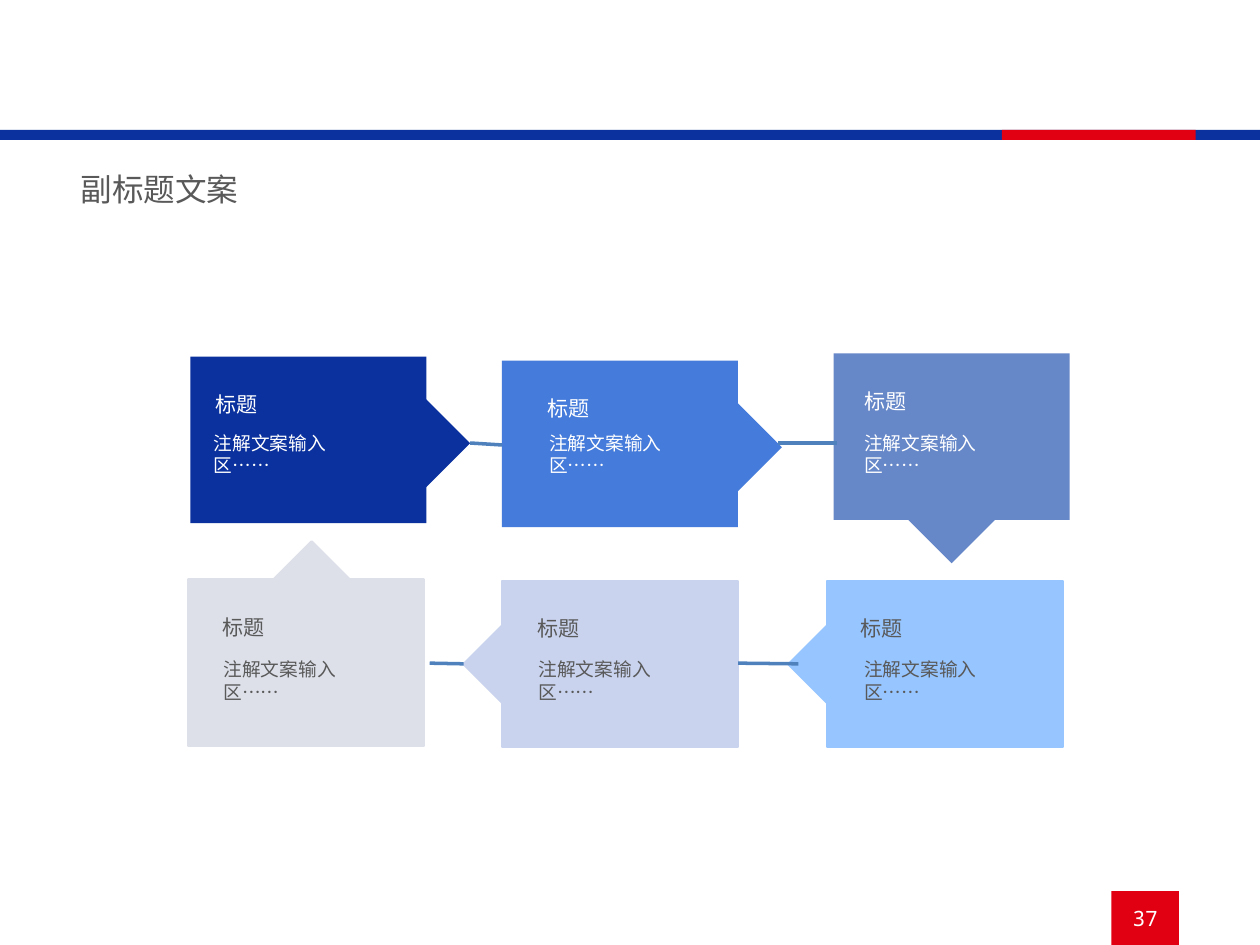
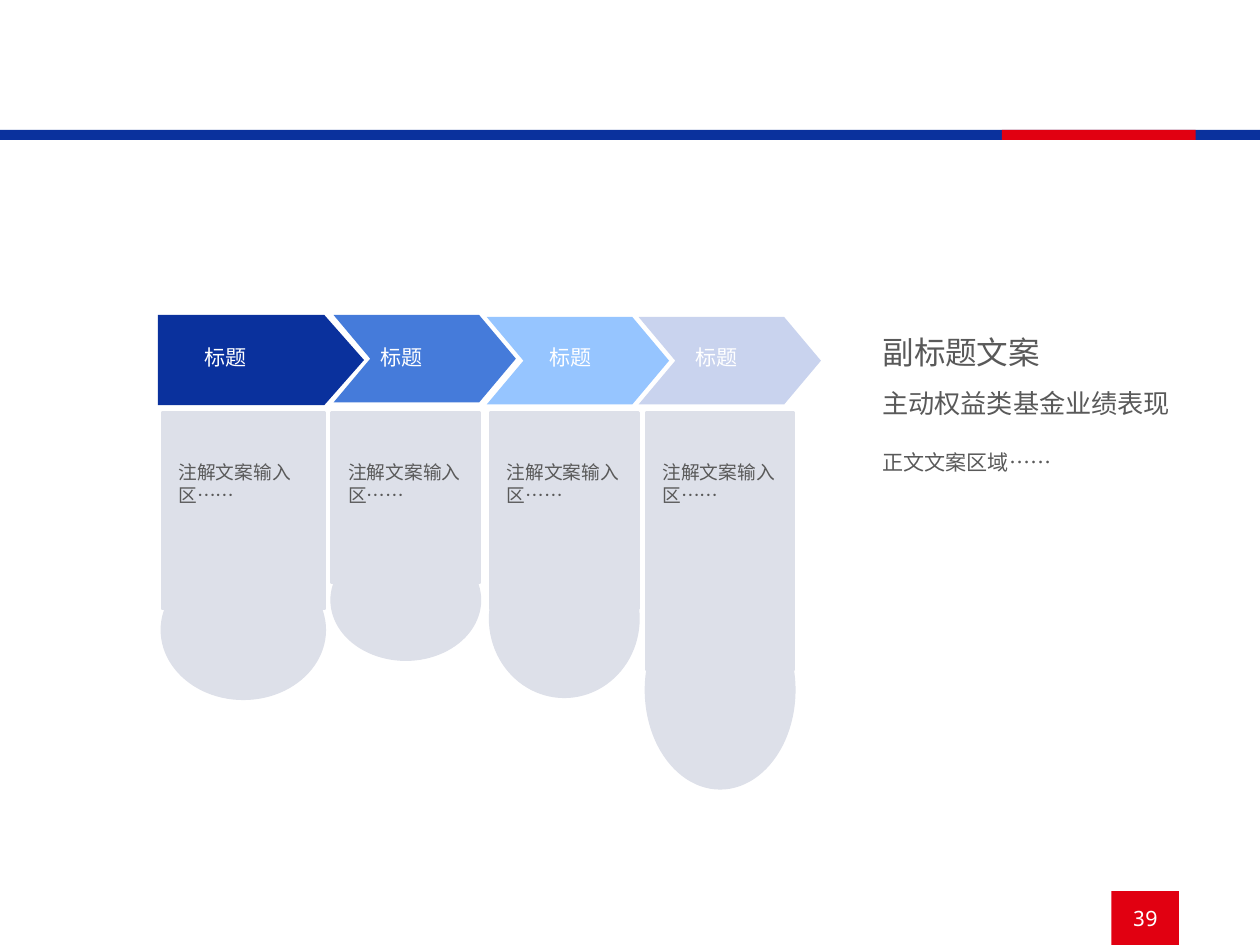
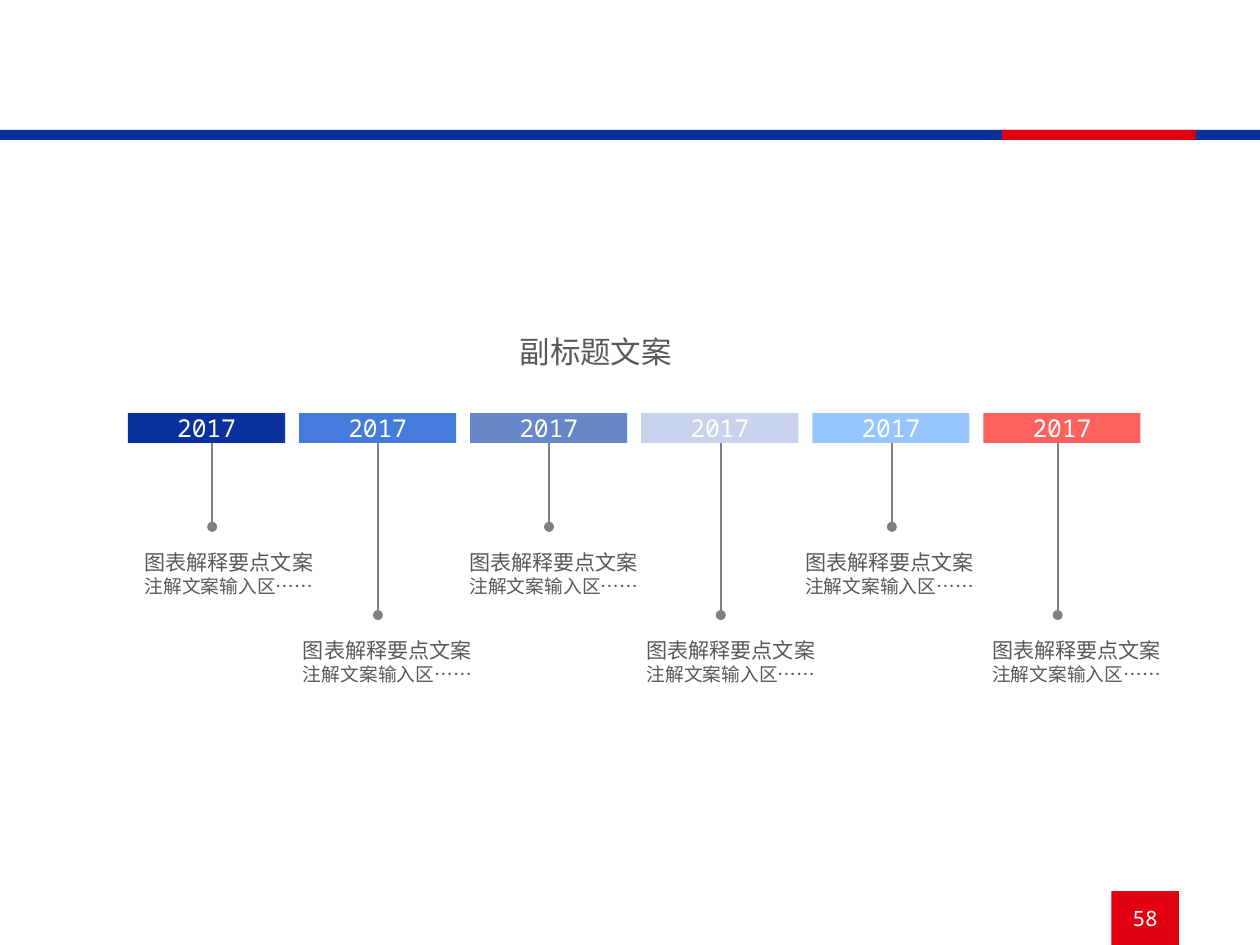
from dataclasses import dataclass

from lxml import etree
from pptx import Presentation
from pptx.dml.color import RGBColor
from pptx.enum.shapes import MSO_CONNECTOR, MSO_SHAPE
from pptx.enum.text import MSO_ANCHOR, PP_ALIGN
from pptx.oxml.ns import qn
from pptx.util import Cm, Pt

RECT = MSO_SHAPE.RECTANGLE
OVAL = MSO_SHAPE.OVAL
DOT = MSO_SHAPE.FLOWCHART_CONNECTOR
ARROW = MSO_SHAPE.STRIPED_RIGHT_ARROW
PLATE = MSO_SHAPE.PENTAGON
CHEVRON = MSO_SHAPE.CHEVRON
STRAIGHT = MSO_CONNECTOR.STRAIGHT
CENTER = PP_ALIGN.CENTER
MIDDLE = MSO_ANCHOR.MIDDLE


@dataclass(frozen=True)
class Theme:
    navy: str = "0A319D"
    blue: str = "457BDA"
    steel: str = "6687C8"
    sky: str = "96C5FF"
    pale: str = "C9D3EE"
    mist: str = "DDE0E9"
    coral: str = "FD625E"
    red: str = "E10011"
    link: str = "4F81BD"
    gray: str = "808080"
    ink: str = "595959"
    white: str = "FFFFFF"
    sans: str = "Noto Sans CJK SC"
    mono: str = "Noto Sans Mono"
    title: float = 13.5
    sub: float = 11.2
    year: float = 10.5
    head: float = 9
    note: float = 8


T = Theme()
HEAD = "标题"
NOTE = "注解文案输入区……"
TITLE = "副标题文案"

# Direction: rotation, then offset of the arrow's centre from the box's centre
TURNS = {
    "right": (0, 1.32, 0.05),
    "left": (180, -1.24, 0),
    "down": (90, 0, 0.79),
    "up": (270, 0.08, -0.71),
}


def rgb(color):
    return RGBColor.from_string(color)


def write(para, text, size, color=T.ink, font=T.sans):
    run = para.add_run()
    run.text = text
    run.font.size = Pt(size)
    run.font.color.rgb = rgb(color)
    run.font.name = font
    etree.SubElement(run.font._element, qn("a:ea"), typeface=font)


def shape(slide, kind, x, y, w, h, fill, edge=False):
    """Add a flat shape; edge draws a 1 pt line in the fill colour."""
    item = slide.shapes.add_shape(kind, Cm(x), Cm(y), Cm(w), Cm(h))
    item.shadow.inherit = False
    item.fill.solid()
    item.fill.fore_color.rgb = rgb(fill)
    if edge:
        item.line.color.rgb = rgb(fill)
        item.line.width = Pt(1)
    else:
        item.line.fill.background()
    return item


def label(slide, x, y, w, h, *lines, color=T.ink):
    """Add a text box with one paragraph for each (text, size) pair."""
    frame = slide.shapes.add_textbox(Cm(x), Cm(y), Cm(w), Cm(h)).text_frame
    frame.word_wrap = True
    for i, (text, size) in enumerate(lines):
        para = frame.add_paragraph() if i else frame.paragraphs[0]
        write(para, text, size, color)


def badge(slide, x, y, w, h, fill, text, size):
    """Add a filled bar with a centred number."""
    frame = shape(slide, RECT, x, y, w, h, fill).text_frame
    frame.margin_left = frame.margin_right = 0
    frame.margin_top = frame.margin_bottom = 0
    frame.vertical_anchor = MIDDLE
    para = frame.paragraphs[0]
    para.alignment = CENTER
    write(para, text, size, T.white, T.mono)


def line(slide, x1, y1, x2, y2, color, width):
    item = slide.shapes.add_connector(STRAIGHT, Cm(x1), Cm(y1), Cm(x2), Cm(y2))
    item.line.color.rgb = rgb(color)
    item.line.width = Pt(width)
    etree.SubElement(item._element.spPr, qn("a:effectLst"))


def page(deck, number):
    """Add a slide with the shared band and page number."""
    slide = deck.slides.add_slide(deck.slide_layouts[6])
    shape(slide, RECT, 0, 1.96, 19, 0.15, T.navy)
    shape(slide, RECT, 15.11, 1.96, 2.92, 0.15, T.red)
    badge(slide, 16.76, 13.44, 1.02, 0.81, T.red, number, T.head)
    return slide


def callout(slide, x, y, fill, way, edge):
    """Add a box with an arrow that leaves it in the given direction."""
    w, h, long, wide = 3.56, 2.51, 2.24, 1.35
    turn, dx, dy = TURNS[way]
    shape(slide, RECT, x, y, w, h, fill, edge)
    left = x + w / 2 + dx - long / 2
    top = y + h / 2 + dy - wide / 2
    shape(slide, ARROW, left, top, long, wide, fill, edge).rotation = turn


def cycle(deck):
    slide = page(deck, "37")
    label(slide, 0.97, 2.44, 4, 0.84, (TITLE, T.title))
    # Box x, y, fill, direction, heading x, note x
    top = [
        (2.87, 5.38, T.navy, "right", 3, 2.97),
        (7.57, 5.44, T.blue, "right", 8, 8.03),
        (12.57, 5.33, T.steel, "down", 12.78, 12.78),
    ]
    low = [
        (12.47, 8.76, T.sky, "left", 12.73, 12.78),
        (7.57, 8.76, T.pale, "left", 7.85, 7.87),
        (2.84, 8.74, T.mist, "up", 3.1, 3.12),
    ]
    for row, ink, base, edge in ((top, T.white, 6.38, False),
                                 (low, T.ink, 9.8, True)):
        for x, y, fill, way, hx, nx in row:
            callout(slide, x, y, fill, way, edge)
            label(slide, hx, y + 0.4, 2.36, 0.64, (HEAD, T.head), color=ink)
            label(slide, nx, base, 2.97, 0.95, (NOTE, T.note), color=ink)
    for x1, y1, x2, y2 in ((7.09, 6.68, 7.57, 6.71), (11.73, 6.68, 12.62, 6.68),
                           (11.13, 10, 12.04, 10.01), (6.48, 10, 6.99, 10.01)):
        line(slide, x1, y1, x2, y2, T.link, 1.5)


def steps(deck):
    slide = page(deck, "39")
    # Kind, x, y, width, height, fill, point depth, heading x
    heads = [
        (PLATE, 2.38, 4.75, 3.11, 1.36, T.navy, 0.44, 2.84),
        (CHEVRON, 5.03, 4.75, 2.75, 1.32, T.blue, 0.42, 5.49),
        (CHEVRON, 7.34, 4.78, 2.75, 1.32, T.sky, 0.42, 8.03),
        (CHEVRON, 9.63, 4.78, 2.75, 1.32, T.pale, 0.42, 10.24),
    ]
    for kind, x, y, w, h, fill, depth, hx in heads:
        shape(slide, kind, x, y, w, h, fill).adjustments[0] = depth
        label(slide, hx, 5.07, 1.2, 0.64, (HEAD, T.head), color=T.white)
    # Column x, width, height, then top and height of its round end
    for x, w, h, end, cap in ((2.44, 2.46, 2.97, 8.46, 2.08),
                              (5, 2.24, 2.57, 8.15, 1.8),
                              (7.39, 2.24, 2.97, 8.15, 2.36),
                              (9.74, 2.24, 3.89, 8.92, 2.97)):
        shape(slide, RECT, x, 6.22, w, h, T.mist, True)
        shape(slide, OVAL, x, end, w, cap, T.mist, True)
        label(slide, x, 6.83, w, 0.94, (NOTE, T.note))
    for y, text, size in ((4.9, TITLE, T.title),
                          (5.72, "主动权益类基金业绩表现", T.sub),
                          (6.65, "正文文案区域……", T.head)):
        label(slide, 13.06, y, 5.2, 0.8, (text, size))


def years(deck):
    slide = page(deck, "58")
    label(slide, 7.59, 4.9, 4.45, 0.84, (TITLE, 13))
    fills = (T.navy, T.blue, T.steel, T.pale, T.sky, T.coral)
    stems = (3.2, 5.7, 8.28, 10.87, 13.45, 15.95)
    notes = (1.93, 4.32, 6.83, 9.5, 11.89, 14.71)
    dot = 0.15
    for i, (fill, x, nx) in enumerate(zip(fills, stems, notes)):
        end = 9.35 if i % 2 else 8.02
        badge(slide, 1.93 + 2.58 * i, 6.23, 2.37, 0.45, fill, "2017", T.year)
        line(slide, x, 6.68, x, end, T.gray, 1)
        shape(slide, DOT, x - dot / 2, end - dot, dot, dot, T.gray)
        label(slide, nx, end + 0.14, 3.2, 1,
              ("图表解释要点文案", T.head), (NOTE, T.note))


def main():
    deck = Presentation()
    deck.slide_width = Cm(19)
    deck.slide_height = Cm(14.25)
    for build in (cycle, steps, years):
        build(deck)
    deck.save("out.pptx")


if __name__ == "__main__":
    main()
